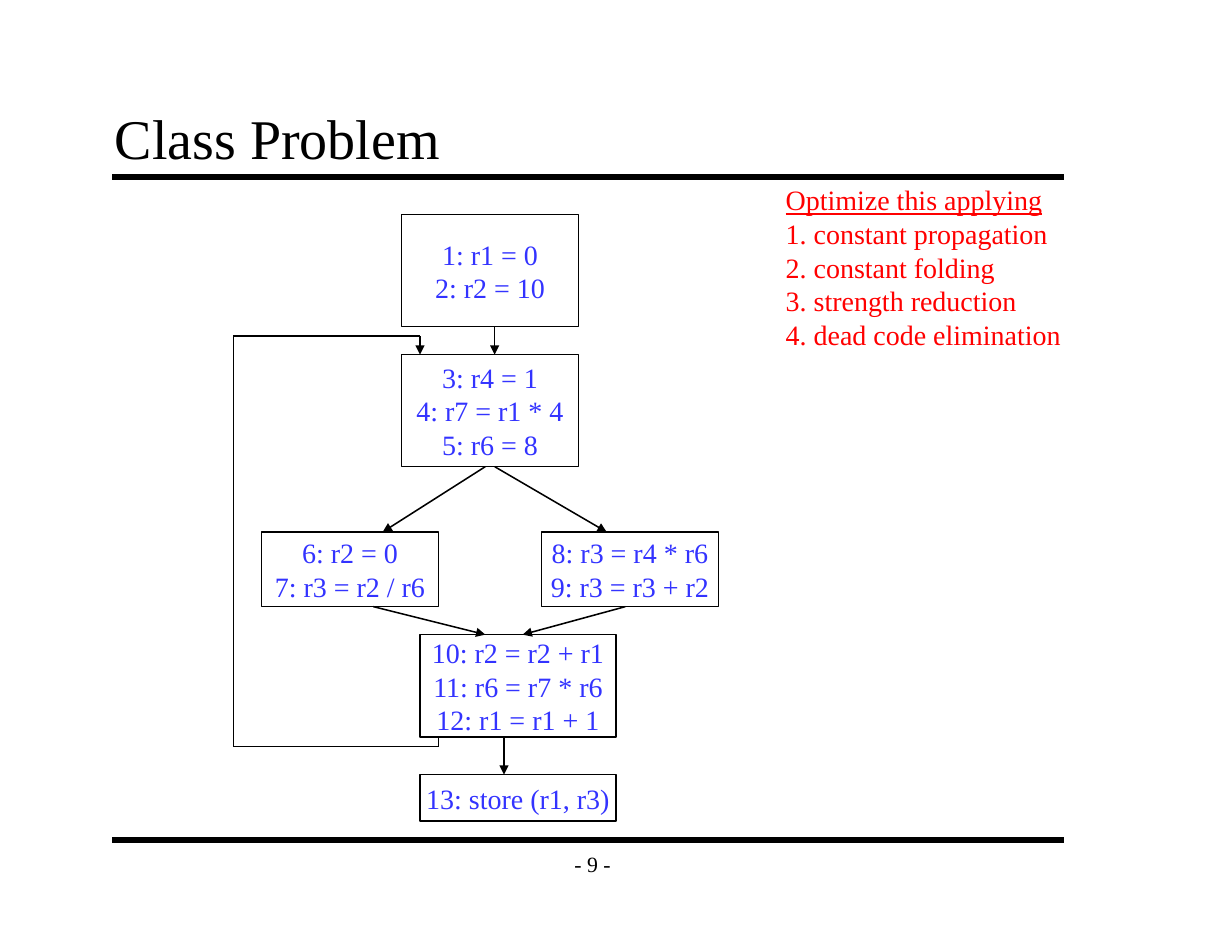
import itertools

import pptx
import pptx.dml.color
import pptx.enum.shapes
import pptx.enum.text
import pptx.oxml.ns
import pptx.util
from lxml import etree

BLACK = pptx.dml.color.RGBColor(0x00, 0x00, 0x00)
BLUE = pptx.dml.color.RGBColor(0x33, 0x33, 0xFF)
RED = pptx.dml.color.RGBColor(0xFF, 0x00, 0x00)
FONT = "Times New Roman"
UNITS_PER_CM = 12 / 2.54  # the layout grid has twelve units to the inch
ALIGN = pptx.enum.text.PP_ALIGN
ANCHOR = pptx.enum.text.MSO_ANCHOR

# Code blocks: left, top, width, height in grid units, then the instructions
BLOCKS = [
    (18, 0, 19, 12, ["1: r1 = 0", "2: r2 = 10"]),
    (18, 15, 19, 12, ["3: r4 = 1", "4: r7 = r1 * 4", "5: r6 = 8"]),
    (3, 34, 19, 8, ["6: r2 = 0", "7: r3 = r2 / r6"]),
    (33, 34, 19, 8, ["8: r3 = r4 * r6", "9: r3 = r3 + r2"]),
    (20, 45, 21, 11, ["10: r2 = r2 + r1", "11: r6 = r7 * r6", "12: r1 = r1 + 1"]),
    (20, 60, 21, 5, ["13: store (r1, r3)"]),
]
FLOW_ARROWS = [
    [(28, 12), (28, 15)],
    [(27, 27), (16, 34)],
    [(28, 27), (40, 34)],
    [(15, 42), (27, 45)],
    [(42, 42), (31, 45)],
    [(29, 56), (29, 60)],
]
LOOP_BACK = [(22, 56), (22, 57), (0, 57), (0, 13), (20, 13), (20, 15)]


def grid(units):
    """Turn grid units into a length."""
    return pptx.util.Cm(units / UNITS_PER_CM)


def write_text(shape, lines, size=18, color=BLACK, align=ALIGN.LEFT,
               anchor=ANCHOR.TOP, wrap=False, underline_first=False):
    """Write one paragraph for each line, in the given format."""
    frame = shape.text_frame
    frame.word_wrap = wrap
    frame.vertical_anchor = anchor
    for index, line in enumerate(lines):
        para = frame.paragraphs[0] if index == 0 else frame.add_paragraph()
        para.alignment = align
        span = para.add_run()
        span.text = line
        span.font.name = FONT
        span.font.size = pptx.util.Pt(size)
        span.font.color.rgb = color
        if underline_first and index == 0:
            span.font.underline = True


def add_line(page, start, end, width=1, arrow=False):
    """Draw a straight black line between two grid points."""
    line = page.shapes.add_connector(
        pptx.enum.shapes.MSO_CONNECTOR.STRAIGHT,
        *(grid(value) for value in (*start, *end)))
    line.line.color.rgb = BLACK
    line.line.width = pptx.util.Pt(width)
    if arrow:
        etree.SubElement(line.line._get_or_add_ln(),
                         pptx.oxml.ns.qn("a:tailEnd"), type="triangle")
    etree.SubElement(line._element.spPr, pptx.oxml.ns.qn("a:effectLst"))


def add_text_box(page, left, top, width, height, lines, **text_format):
    """Place a text box on the grid."""
    box = page.shapes.add_textbox(*map(grid, (left, top, width, height)))
    write_text(box, lines, **text_format)


def add_frame(page, left, top, width, height, title, number):
    """Place the title, the two rules and the page number in the box."""
    heading = page.shapes.title
    heading.left, heading.top = grid(left - 1), grid(top)
    heading.width, heading.height = grid(width), grid(8)
    write_text(heading, [title], size=36, anchor=ANCHOR.BOTTOM, wrap=True)
    heading.text_frame.margin_left = pptx.util.Cm(0.28)
    heading.text_frame.margin_bottom = pptx.util.Cm(0.15)
    bottom = top + height
    for rule in (top + 8, bottom):
        add_line(page, (left, rule), (left + width, rule), width=4)
    add_text_box(page, left + 47, bottom, 9, 5, [number], size=14,
                 align=ALIGN.CENTER, anchor=ANCHOR.MIDDLE)


def add_flow_graph(page, left, top):
    """Draw the code blocks and the arrows from the given corner."""
    for x, y, width, height, lines in BLOCKS:
        block = page.shapes.add_shape(
            pptx.enum.shapes.MSO_SHAPE.RECTANGLE,
            *map(grid, (left + x, top + y, width, height)))
        block.shadow.inherit = False
        block.fill.background()
        block.line.color.rgb = BLACK
        block.line.width = pptx.util.Pt(1)
        write_text(block, lines, color=BLUE, align=ALIGN.CENTER,
                   anchor=ANCHOR.MIDDLE)
    for route in [*FLOW_ARROWS, LOOP_BACK]:
        points = [(left + x, top + y) for x, y in route]
        for start, end in itertools.pairwise(points):
            add_line(page, start, end, arrow=end == points[-1])


def add_task(page, left, top, width, height):
    """Write the list of optimizations to apply."""
    add_text_box(page, left, top, width, height,
                 ["Optimize this applying", "1. constant propagation",
                  "2. constant folding", "3. strength reduction",
                  "4. dead code elimination"],
                 color=RED, underline_first=True)


def build_deck():
    """Build the one-slide deck and save it."""
    deck = pptx.Presentation()
    deck.slide_width, deck.slide_height = grid(132), grid(102)
    page = deck.slides.add_slide(deck.slide_layouts.get_by_name("Title Only"))
    add_frame(page, 12, 11, 102, 79, "Class Problem", "- 9 -")
    add_flow_graph(page, 25, 23)
    add_task(page, 83, 19, 32, 19)
    deck.save("out.pptx")


build_deck()
